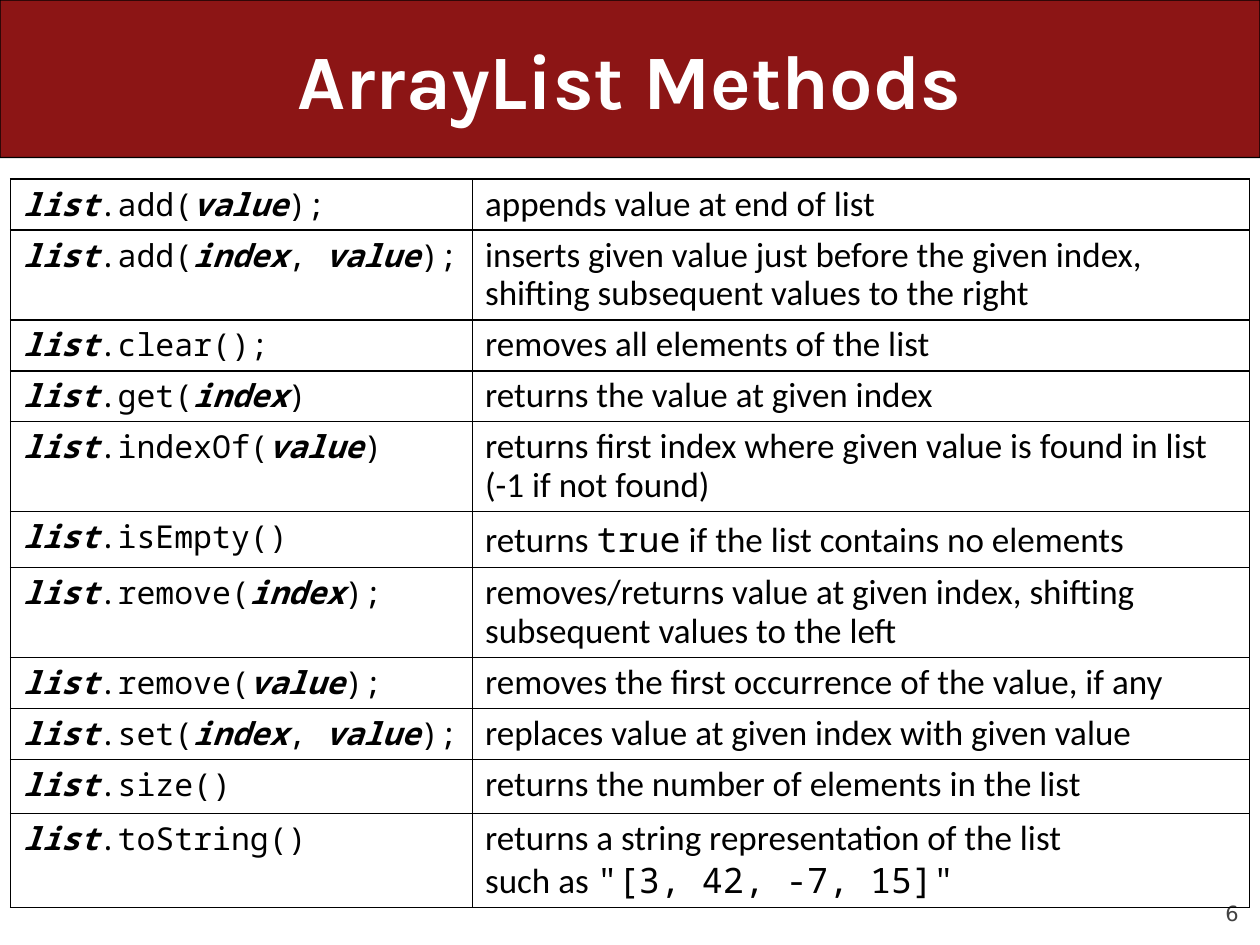
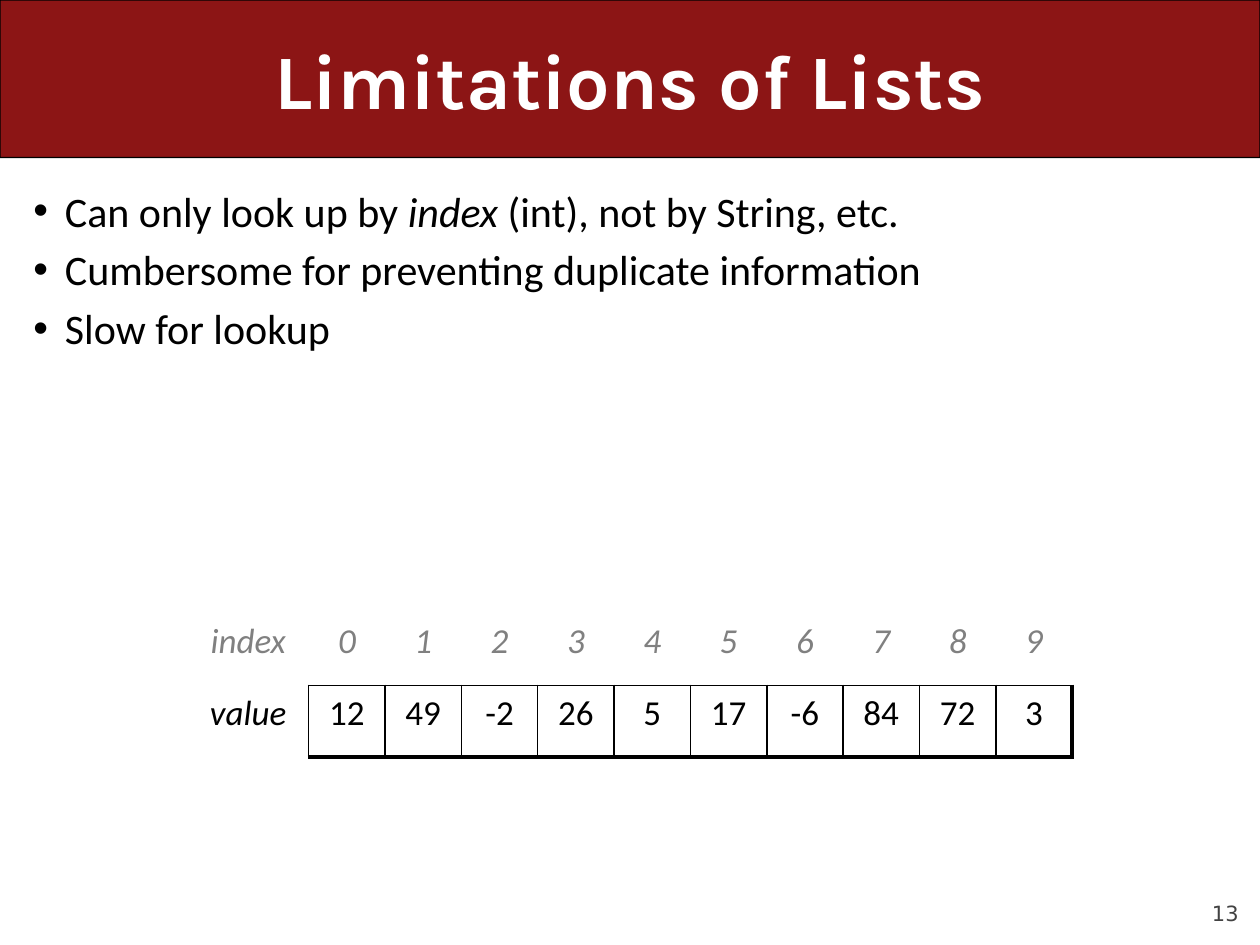
from lxml.etree import SubElement
from pptx import Presentation
from pptx.dml.color import RGBColor
from pptx.enum.shapes import MSO_SHAPE as Shape
from pptx.enum.text import MSO_ANCHOR as Anchor, MSO_AUTO_SIZE as AutoSize, PP_ALIGN as Align
from pptx.oxml.ns import qn
from pptx.util import Pt

# Shared colours, fonts and sizes
RED, WHITE, BLACK, GREY, DARK = "8C1515", "FFFFFF", "000000", "808080", "424242"
BODY, CODE, HEADING, NUMBER = "Calibri", "Noto Sans Mono", "Karla", "DejaVu Sans"
SLIDE_WIDTH, SLIDE_HEIGHT, BAND_HEIGHT = 720, 540, 90

# Asterisks enclose the words that take the marked format of their cell.
METHODS = [
    ("*list*.add(*value*);", "appends value at end of list"),
    ("*list*.add(*index*, *value*);",
     "inserts given value just before the given index, shifting subsequent values to the right"),
    ("*list*.clear();", "removes all elements of the list"),
    ("*list*.get(*index*)", "returns the value at given index"),
    ("*list*.indexOf(*value*)",
     "returns first index where given value is found in list (-1 if not found)"),
    ("*list*.isEmpty()", "returns *true* if the list contains no elements"),
    ("*list*.remove(*index*);",
     "removes/returns value at given index, shifting subsequent values to the left"),
    ("*list*.remove(*value*);", "removes the first occurrence of the value, if any"),
    ("*list*.set(*index*, *value*);", "replaces value at given index with given value"),
    ("*list*.size()", "returns the number of elements in the list"),
    ("*list*.toString()",
     'returns a string representation of the list\nsuch as *"[3, 42, -7, 15]"*'),
]
ONE_LINE, TWO_LINES = 29.14, 51.4
METHOD_HEIGHTS = [ONE_LINE, TWO_LINES, ONE_LINE, ONE_LINE, TWO_LINES, 32,
                  TWO_LINES, ONE_LINE, ONE_LINE, 31, 53.7]
LIMITATIONS = """Can only look up by *index* (int), not by String, etc.
Cumbersome for preventing duplicate information
Slow for lookup"""
VALUES = [12, 49, -2, 26, 5, 17, -6, 84, 72, 3]


def color(hex_code):
    return RGBColor.from_string(hex_code)


def write(frame, text, size=20, font=BODY, fill=BLACK, bold=False, italic=False,
          align=Align.LEFT, line=None, before=0, bullet=False, marked=None):
    """Fill a text frame; `marked` overrides the format between asterisks."""
    frame.word_wrap = True
    for row, words in enumerate(text.split("\n")):
        paragraph = frame.add_paragraph() if row else frame.paragraphs[0]
        paragraph.alignment = align
        paragraph.space_before = Pt(before)
        if line:
            paragraph.line_spacing = line
        if bullet:
            add_bullet(paragraph)
        for part, piece in enumerate(words.split("*")):
            if not piece:
                continue
            style = {"font": font, "bold": bold, "italic": italic}
            if part % 2:
                style.update(marked)
            run = paragraph.add_run()
            run.text = piece
            run.font.size = Pt(size)
            run.font.name = style["font"]
            run.font.bold = style["bold"]
            run.font.italic = style["italic"]
            run.font.color.rgb = color(fill)


def add_bullet(paragraph, indent=18):
    properties = paragraph._p.get_or_add_pPr()
    properties.set("marL", str(Pt(indent)))
    properties.set("indent", str(-Pt(indent)))
    SubElement(properties, qn("a:buFont"), typeface="Arial")
    SubElement(properties, qn("a:buChar"), char="•")


def add_text(slide, text, left, top, width, height, anchor=Anchor.TOP, margin=None, **style):
    frame = slide.shapes.add_textbox(Pt(left), Pt(top), Pt(width), Pt(height)).text_frame
    frame.vertical_anchor = anchor
    if margin is not None:
        frame.margin_left = frame.margin_right = Pt(margin)
        frame.margin_top = frame.margin_bottom = Pt(margin)
    write(frame, text, **style)


def add_slide(deck, heading, number):
    """Start a slide with its band, title and slide number."""
    slide = deck.slides.add_slide(deck.slide_layouts[5])
    band = slide.shapes.add_shape(Shape.ROUNDED_RECTANGLE, 0, 0, Pt(SLIDE_WIDTH), Pt(BAND_HEIGHT))
    band.adjustments[0] = 0.001
    band.shadow.inherit = False
    band.fill.solid()
    band.fill.fore_color.rgb = color(RED)
    band.line.color.rgb = color(BLACK)
    band.line.width = Pt(0.75)

    # The band lies behind the title
    title = slide.shapes.title
    title._element.addprevious(band._element)
    title.left, title.top = Pt(36), Pt(0)
    title.width, title.height = Pt(SLIDE_WIDTH - 72), Pt(BAND_HEIGHT)
    title.text_frame.auto_size = AutoSize.NONE
    title.text_frame.vertical_anchor = Anchor.MIDDLE
    write(title.text_frame, heading, size=44, font=HEADING, fill=WHITE, bold=True,
          align=Align.CENTER)

    add_text(slide, str(number), 648, 500.4, 59.8, 28.8, anchor=Anchor.BOTTOM, margin=0,
             size=12, font=NUMBER, fill=DARK, align=Align.RIGHT, before=5)
    return slide


def add_grid(slide, left, top, widths, heights):
    """Add an unstyled table with the given column widths and row heights."""
    table = slide.shapes.add_table(len(heights), len(widths), Pt(left), Pt(top),
                                   Pt(sum(widths)), Pt(sum(heights))).table
    table.first_row = table.horz_banding = False
    for column, width in zip(table.columns, widths):
        column.width = Pt(width)
    for row, height in zip(table.rows, heights):
        row.height = Pt(height)
    return table


def fill_cell(cell, text, borders, **style):
    """Write a cell; borders are widths for left, right, top and bottom."""
    properties = cell._tc.get_or_add_tcPr()
    for side, width in zip("LRTB", borders):
        edge = SubElement(properties, qn(f"a:ln{side}"), w=str(Pt(width)))
        if width:
            paint = SubElement(edge, qn("a:solidFill"))
            SubElement(paint, qn("a:srgbClr"), val=BLACK)
        else:
            SubElement(edge, qn("a:noFill"))
    cell.fill.background()
    write(cell.text_frame, text, **style)


def add_methods(slide):
    table = add_grid(slide, 6, 102.24, [264, 444], METHOD_HEIGHTS)
    box = (1, 1, 1, 1)
    for row, (call, meaning) in enumerate(METHODS):
        fill_cell(table.cell(row, 0), call, box, size=18, font=CODE, line=0.9,
                  marked={"bold": True, "italic": True})
        fill_cell(table.cell(row, 1), meaning, box, line=0.9, marked={"font": CODE})


def add_values(slide):
    table = add_grid(slide, 107.28, 350.64, [69.12] + [43.65] * len(VALUES), [41.04] * 2)
    style = {"align": Align.CENTER, "before": 4}
    fill_cell(table.cell(0, 0), "index", (0, 0, 0, 0), fill=GREY, italic=True, **style)
    fill_cell(table.cell(1, 0), "value", (0, 1, 0, 0), italic=True, **style)
    for index, value in enumerate(VALUES):
        right = 2.25 if index == len(VALUES) - 1 else 1
        fill_cell(table.cell(0, index + 1), str(index), (0, 0, 0, 1), fill=GREY,
                  italic=True, **style)
        fill_cell(table.cell(1, index + 1), str(value), (1, right, 1, 2.25), **style)


def main():
    deck = Presentation()
    deck.slide_width, deck.slide_height = Pt(SLIDE_WIDTH), Pt(SLIDE_HEIGHT)

    # Method reference
    add_methods(add_slide(deck, "ArrayList Methods", 6))

    # Limitations, with an example list
    limits = add_slide(deck, "Limitations of Lists", 13)
    add_text(limits, LIMITATIONS, 12, 102.24, 696, 408, size=24, before=4.8, bullet=True,
             marked={"italic": True})
    add_values(limits)

    deck.save("out.pptx")


if __name__ == "__main__":
    main()
